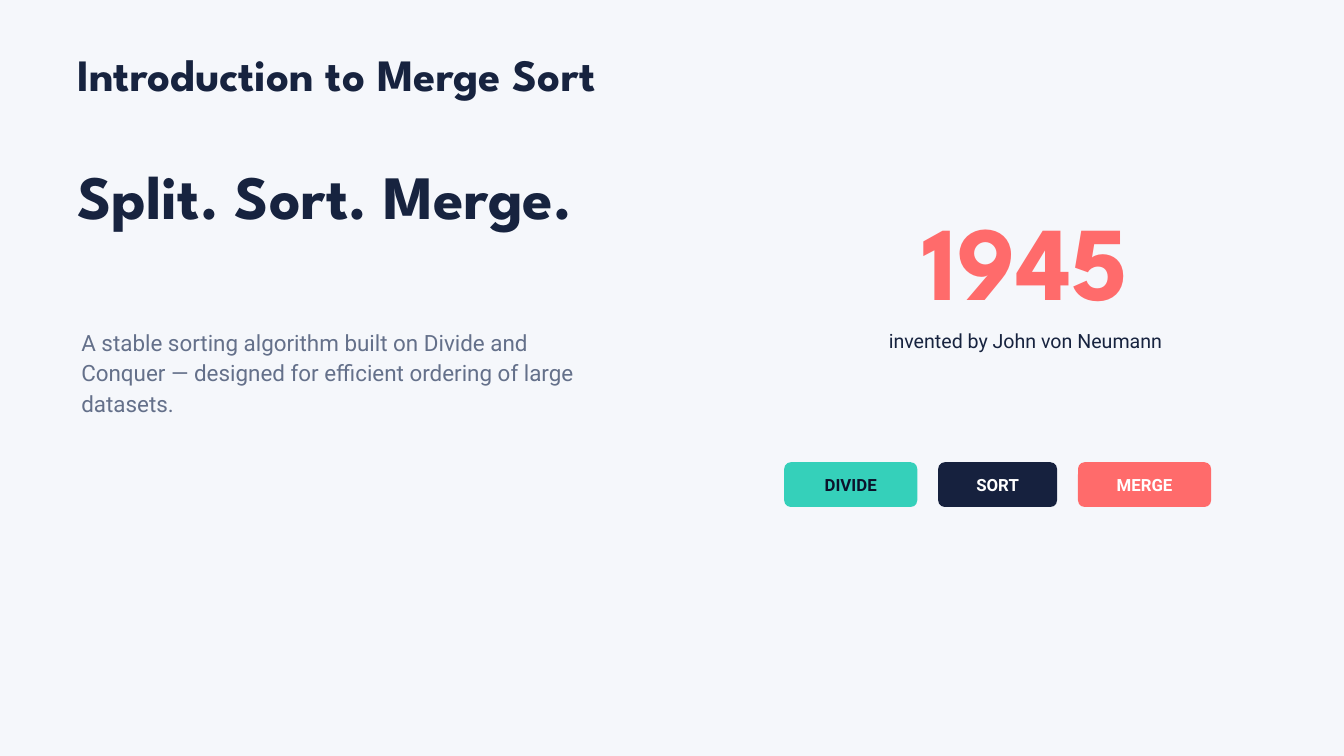
"""Build the slide that introduces merge sort."""
from dataclasses import dataclass

import pptx
import pptx.dml.color
import pptx.enum.shapes
import pptx.enum.text
import pptx.shapes.autoshape
import pptx.slide
import pptx.text.text
import pptx.util

Pt = pptx.util.Pt
RGBColor = pptx.dml.color.RGBColor
Align = pptx.enum.text.PP_ALIGN
Anchor = pptx.enum.text.MSO_ANCHOR

BACKGROUND = RGBColor(0xF5, 0xF7, 0xFB)
NAVY = RGBColor(0x17, 0x23, 0x3F)
SLATE = RGBColor(0x64, 0x70, 0x8A)
CORAL = RGBColor(0xFF, 0x6B, 0x6B)
TEAL = RGBColor(0x35, 0xD0, 0xBA)
MIDNIGHT = RGBColor(0x16, 0x21, 0x3E)
INK = RGBColor(0x0B, 0x13, 0x2B)
WHITE = RGBColor(0xFF, 0xFF, 0xFF)

DISPLAY_FONT = "League Spartan"
BODY_FONT = "Roboto"

STEP_LEFT, STEP_TOP, STEP_HEIGHT, STEP_GAP = 840.2, 495.2, 48, 22.4
STEP_RADIUS = 7.2


@dataclass(frozen=True)
class Box:
    left: float
    top: float
    width: float
    height: float

    def lengths(self) -> tuple[int, ...]:
        return tuple(Pt(n) for n in (self.left, self.top, self.width, self.height))


@dataclass(frozen=True)
class Step:
    label: str
    width: float
    fill: RGBColor
    ink: RGBColor


STEPS = (
    Step("DIVIDE", 142.6, TEAL, INK),
    Step("SORT", 127.4, MIDNIGHT, WHITE),
    Step("MERGE", 142.6, CORAL, WHITE),
)


def write(frame: pptx.text.text.TextFrame, text: str, *, size: float, leading: float,
          color: RGBColor, font: str = BODY_FONT, bold: bool = False,
          align: Align = Align.LEFT, anchor: Anchor = Anchor.TOP,
          margins: tuple[float, float, float, float] = (0, 0, 0, 0)) -> None:
    """Put formatted text in a frame, with margins as left, top, right, bottom."""
    frame.word_wrap = True
    frame.auto_size = pptx.enum.text.MSO_AUTO_SIZE.NONE
    frame.vertical_anchor = anchor
    frame.margin_left, frame.margin_top, frame.margin_right, frame.margin_bottom = map(Pt, margins)
    paragraph = frame.paragraphs[0]
    paragraph.alignment = align
    paragraph.line_spacing = Pt(leading)
    run = paragraph.add_run()
    run.text = text
    run.font.name = font
    run.font.size = Pt(size)
    run.font.bold = bold
    run.font.color.rgb = color


def add_label(slide: pptx.slide.Slide, box: Box, text: str, **style) -> None:
    """Add a text box with formatted text."""
    write(slide.shapes.add_textbox(*box.lengths()).text_frame, text, **style)


def add_step(slide: pptx.slide.Slide, step: Step, left: float) -> None:
    """Add one rounded badge that names a step."""
    box = Box(left, STEP_TOP, step.width, STEP_HEIGHT)
    badge = slide.shapes.add_shape(
        pptx.enum.shapes.MSO_SHAPE.ROUNDED_RECTANGLE, *box.lengths())
    badge.adjustments[0] = STEP_RADIUS / STEP_HEIGHT
    badge.shadow.inherit = False
    badge.fill.solid()
    badge.fill.fore_color.rgb = step.fill
    badge.line.fill.background()
    write(badge.text_frame, step.label, size=18, leading=25.2, color=step.ink, bold=True,
          align=Align.CENTER, anchor=Anchor.MIDDLE, margins=(4, 4, 4, 7))


def main() -> None:
    """Draw the slide and save it."""
    deck = pptx.Presentation()
    deck.slide_width, deck.slide_height = Pt(1440), Pt(810)
    slide = deck.slides.add_slide(deck.slide_layouts.get_by_name("Title Only"))
    slide.background.fill.solid()
    slide.background.fill.fore_color.rgb = BACKGROUND

    title = slide.shapes.title
    title.left, title.top, title.width, title.height = Box(82.8, 59, 1124.6, 50.4).lengths()
    write(title.text_frame, "Introduction to Merge Sort", size=48, leading=49,
          color=NAVY, font=DISPLAY_FONT, bold=True)

    add_label(slide, Box(82.8, 181.4, 660.2, 69.8), "Split. Sort. Merge.",
              size=66, leading=67.3, color=NAVY, font=DISPLAY_FONT, bold=True)
    add_label(slide, Box(87.1, 349.2, 570.2, 97.2),
              "A stable sorting algorithm built on Divide and Conquer — "
              "designed for efficient ordering of large datasets.",
              size=24, leading=32.4, color=SLATE)
    add_label(slide, Box(922.3, 229.7, 352.8, 119.5), "1945", size=112.5, leading=114.8,
              color=CORAL, font=DISPLAY_FONT, bold=True, align=Align.CENTER)
    add_label(slide, Box(915.1, 349.2, 367.2, 28.4), "invented by John von Neumann",
              size=21, leading=28.4, color=NAVY, align=Align.CENTER)

    left = STEP_LEFT
    for step in STEPS:
        add_step(slide, step, left)
        left += step.width + STEP_GAP

    deck.save("out.pptx")


if __name__ == "__main__":
    main()
